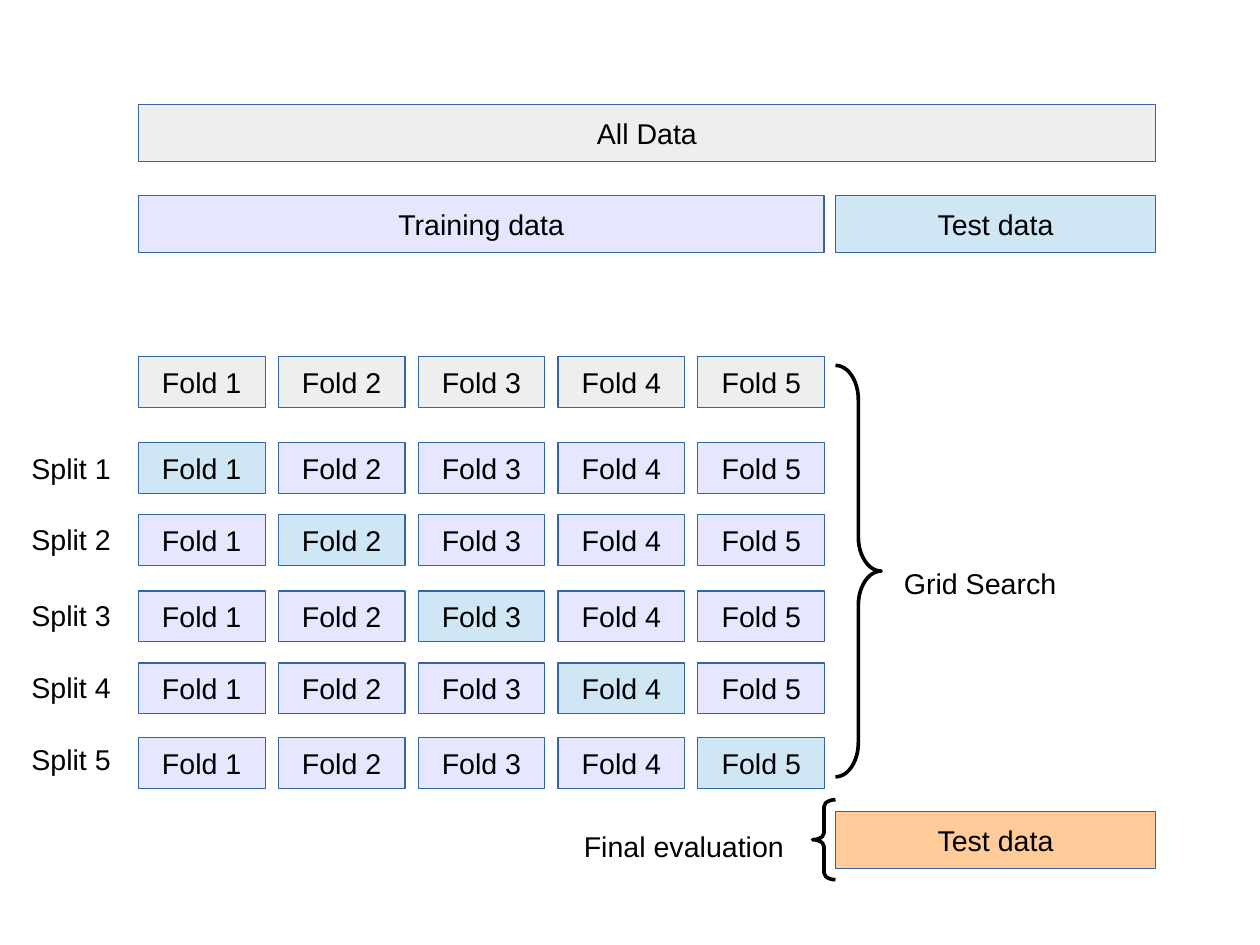
from dataclasses import dataclass

from pptx import Presentation
from pptx.dml.color import RGBColor
from pptx.enum.shapes import MSO_SHAPE
from pptx.enum.text import MSO_ANCHOR, MSO_AUTO_SIZE, PP_ALIGN
from pptx.shapes.autoshape import Shape
from pptx.util import Cm, Inches, Pt

RECT = MSO_SHAPE.RECTANGLE
LEFT = MSO_SHAPE.LEFT_BRACE
RIGHT = MSO_SHAPE.RIGHT_BRACE
MIDDLE = MSO_ANCHOR.MIDDLE
TOP = MSO_ANCHOR.TOP
CENTER = PP_ALIGN.CENTER
START = PP_ALIGN.LEFT
GROW = MSO_AUTO_SIZE.SHAPE_TO_FIT_TEXT

COLORS = {
    "all": "EEEEEE",
    "train": "E6E6FF",
    "test": "CFE7F5",
    "final": "FFCC99",
    "edge": "3465A4",
    "ink": "000000",
}
FONT, SIZE = "Arial", 18
UNIT, ORIGIN_X, ORIGIN_Y = 0.1, 1.21, 0.91
FOLDS = 5
FOLD_STEP, FOLD_WIDE, FOLD_HIGH = 12.24, 11.1, 4.46
HEAD_ROW = 22.1
SPLIT_ROWS = (29.6, 35.9, 42.6, 48.9, 55.4)
LABEL_ROWS = (29.86, 36.1, 42.75, 49, 55.36)


@dataclass(frozen=True)
class Area:
    col: float
    row: float
    wide: float
    high: float

    def place(self) -> tuple[int, int, int, int]:
        return (
            Inches(ORIGIN_X + self.col * UNIT),
            Inches(ORIGIN_Y + self.row * UNIT),
            Inches(self.wide * UNIT),
            Inches(self.high * UNIT),
        )


@dataclass(frozen=True)
class Box:
    text: str
    area: Area
    fill: str


@dataclass(frozen=True)
class Label:
    text: str
    area: Area


@dataclass(frozen=True)
class Brace:
    kind: MSO_SHAPE
    area: Area
    curve: float


BARS = (
    Box("All Data", Area(0, 0.03, 89, 5), "all"),
    Box("Training data", Area(0, 8, 60, 5), "train"),
    Box("Test data", Area(61, 8, 28, 5), "test"),
)
FINAL = Box("Test data", Area(61, 61.87, 28, 5), "final")
NOTES = (
    Label("Grid Search", Area(66, 39.9, 18, 3.8)),
    Label("Final evaluation", Area(38, 62.9, 20, 3.8)),
)
BRACES = (
    Brace(RIGHT, Area(61, 22.87, 4, 36), 0.75),
    Brace(LEFT, Area(59, 60.87, 2, 7), 0.3),
)


def color(name: str) -> RGBColor:
    return RGBColor.from_string(COLORS[name])


def write(shape: Shape, text: str, align: PP_ALIGN, anchor: MSO_ANCHOR, wrap: bool) -> None:
    frame = shape.text_frame
    frame.word_wrap = wrap
    frame.vertical_anchor = anchor
    para = frame.paragraphs[0]
    para.alignment = align
    run = para.add_run()
    run.text = text
    run.font.name = FONT
    run.font.size = Pt(SIZE)
    run.font.color.rgb = color("ink")


def draw_box(shapes, box: Box) -> None:
    shape = shapes.add_shape(RECT, *box.area.place())
    shape.shadow.inherit = False
    shape.fill.solid()
    shape.fill.fore_color.rgb = color(box.fill)
    shape.line.color.rgb = color("edge")
    shape.line.width = Pt(0)
    write(shape, box.text, CENTER, MIDDLE, False)


def draw_label(shapes, label: Label) -> None:
    shape = shapes.add_textbox(*label.area.place())
    write(shape, label.text, START, TOP, True)
    shape.text_frame.auto_size = GROW


def draw_brace(shapes, brace: Brace) -> None:
    shape = shapes.add_shape(brace.kind, *brace.area.place())
    shape.shadow.inherit = False
    shape.adjustments[0] = brace.curve
    shape.fill.background()
    shape.line.color.rgb = color("ink")
    shape.line.width = Pt(2.3)


def draw_folds(shapes, row: float, fills: list[str]) -> None:
    for index, fill in enumerate(fills):
        area = Area(index * FOLD_STEP, row, FOLD_WIDE, FOLD_HIGH)
        draw_box(shapes, Box(f"Fold {index + 1}", area, fill))


def main() -> None:
    deck = Presentation()
    deck.slide_width = Cm(28)
    deck.slide_height = Cm(21)
    shapes = deck.slides.add_slide(deck.slide_layouts[6]).shapes

    for bar in BARS:
        draw_box(shapes, bar)
    draw_folds(shapes, HEAD_ROW, ["all"] * FOLDS)
    for split, row in enumerate(SPLIT_ROWS):
        fills = ["test" if fold == split else "train" for fold in range(FOLDS)]
        draw_folds(shapes, row, fills)
    draw_box(shapes, FINAL)
    for note in NOTES:
        draw_label(shapes, note)
    for brace in BRACES:
        draw_brace(shapes, brace)
    group = shapes.add_group_shape().shapes
    for index, row in enumerate(LABEL_ROWS, 1):
        draw_label(group, Label(f"Split {index}", Area(-10.34, row, 9.1, 3.8)))

    deck.save("out.pptx")


if __name__ == "__main__":
    main()
